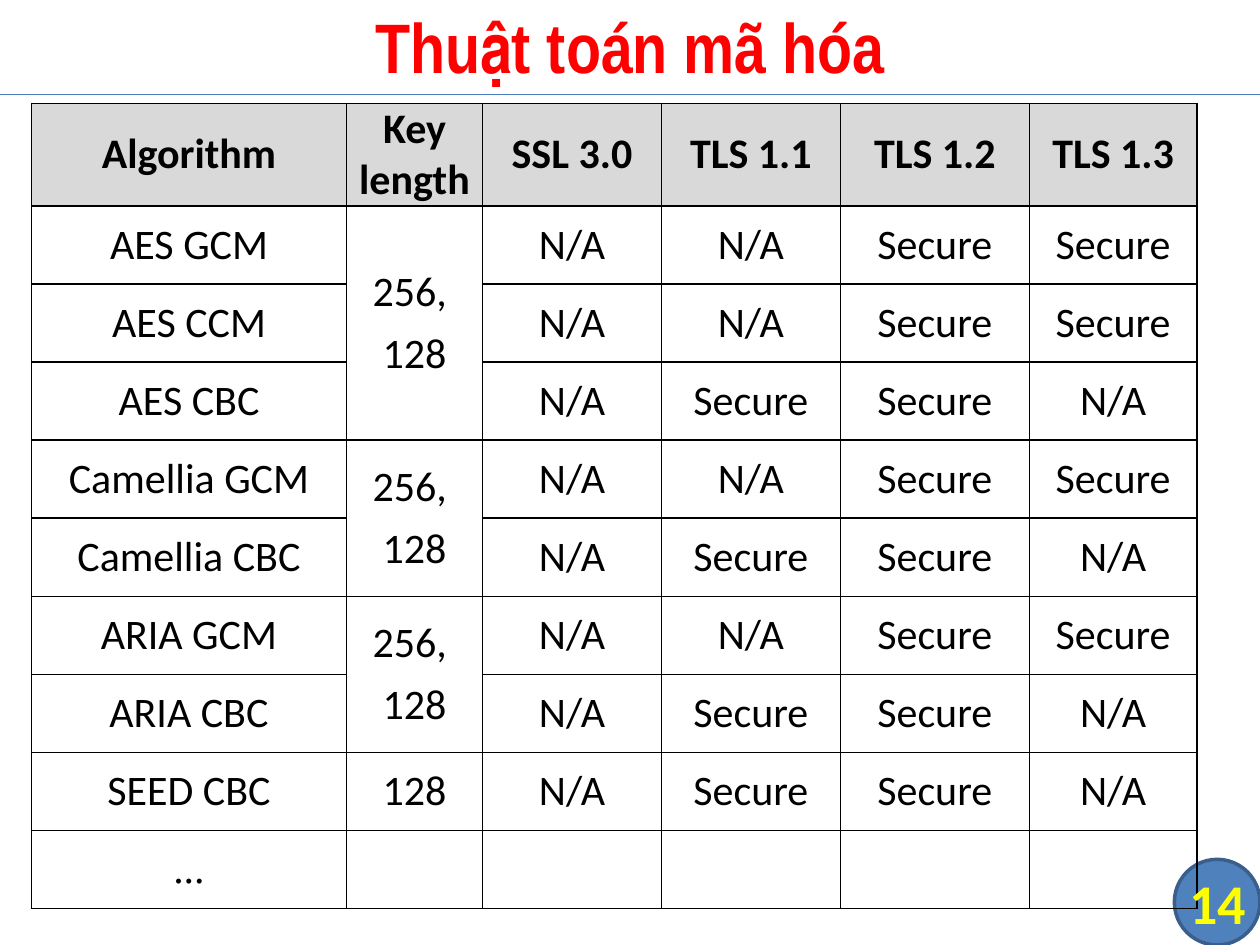
"""Build the slide on encryption algorithms and their security by protocol version."""
from lxml import etree
from pptx import Presentation
from pptx.dml.color import RGBColor
from pptx.enum.shapes import MSO_CONNECTOR, MSO_SHAPE
from pptx.enum.text import MSO_ANCHOR, PP_ALIGN
from pptx.oxml.ns import qn
from pptx.util import Inches, Pt

CENTER = PP_ALIGN.CENTER
MIDDLE = MSO_ANCHOR.MIDDLE
CIRCLE = MSO_SHAPE.FLOWCHART_CONNECTOR
STRAIGHT = MSO_CONNECTOR.STRAIGHT
TITLE_ONLY = 5
WIDTH, HEIGHT = 10, 7.5
GRID_COLUMNS, GRID_ROWS = 100, 75

COLUMN_WIDTHS = [25, 10.8, 14.2, 14.2, 15, 13.3]
ROW_HEIGHT = 6.2
NO, YES = "N/A", "Secure"
HEADER = ["Algorithm", "Key\nlength", "SSL 3.0", "TLS 1.1", "TLS 1.2", "TLS 1.3"]
GCM_SUPPORT = [NO, NO, YES, YES]
CBC_SUPPORT = [NO, YES, YES, NO]
BOTH_KEYS = ["256, ", "128"]
CIPHERS = [
    (BOTH_KEYS, [("AES GCM", GCM_SUPPORT), ("AES CCM", GCM_SUPPORT), ("AES CBC", CBC_SUPPORT)]),
    (BOTH_KEYS, [("Camellia GCM", GCM_SUPPORT), ("Camellia CBC", CBC_SUPPORT)]),
    (BOTH_KEYS, [("ARIA GCM", GCM_SUPPORT), ("ARIA CBC", CBC_SUPPORT)]),
    (["128"], [("SEED CBC", CBC_SUPPORT)]),
]


def color(value):
    """Turn a hex string into a colour."""
    return RGBColor.from_string(value)


def write(frame, *lines, size=24, font="Calibri", ink="000000", bold=False, spacing=0):
    """Write one centred paragraph per line into a text frame."""
    for index, line in enumerate(lines):
        paragraph = frame.add_paragraph() if index else frame.paragraphs[0]
        paragraph.text = line
        paragraph.alignment = CENTER
        paragraph.space_before = paragraph.space_after = Pt(spacing)
        for run in paragraph.runs:
            run.font.size = Pt(size)
            run.font.name = font
            run.font.bold = bold
            run.font.color.rgb = color(ink)


def set_borders(cell, ink, width):
    """Draw a solid line on all four sides of a cell."""
    properties = cell._tc.get_or_add_tcPr()
    for index, side in enumerate(("a:lnL", "a:lnR", "a:lnT", "a:lnB")):
        line = etree.Element(qn(side), w=str(Pt(width)))
        fill = etree.SubElement(line, qn("a:solidFill"))
        etree.SubElement(fill, qn("a:srgbClr"), val=ink)
        properties.insert(index, line)


class SlideBuilder:
    """Hold the style and the current slide."""

    accent, outline, rule = "4F81BD", "3A5F8C", "4B7EBC"
    header_fill, border = "D9D9D9", "000000"
    title_ink, number_ink = "FF0000", "FFFF00"

    def __init__(self, presentation):
        """Add a title-only slide."""
        self.slide = presentation.slides.add_slide(presentation.slide_layouts[TITLE_ONLY])
        self.shapes = self.slide.shapes

    def box(self, left, top, width, height):
        """Convert grid columns and rows to lengths."""
        column, row = WIDTH / GRID_COLUMNS, HEIGHT / GRID_ROWS
        return [Inches(n * unit) for n, unit in
                ((left, column), (top, row), (width, column), (height, row))]

    def title(self, text, *place):
        """Move and format the title placeholder."""
        shape = self.shapes.title
        shape.left, shape.top, shape.width, shape.height = self.box(*place)
        shape.text_frame.vertical_anchor = MIDDLE
        write(shape.text_frame, text, size=40, font="Arial Narrow", ink=self.title_ink, bold=True)

    def divider(self, row):
        """Draw a line across the slide."""
        left, top, width, _ = self.box(0, row, GRID_COLUMNS, 0)
        line = self.shapes.add_connector(STRAIGHT, left, top, left + width, top)
        line.line.color.rgb = color(self.rule)
        line.line.width = Pt(0.75)
        etree.SubElement(line._element.spPr, qn("a:effectLst"))

    def badge(self, *place):
        """Draw the circle behind the slide number."""
        shape = self.shapes.add_shape(CIRCLE, *self.box(*place))
        shape.shadow.inherit = False
        shape.fill.solid()
        shape.fill.fore_color.rgb = color(self.accent)
        shape.line.color.rgb = color(self.outline)
        shape.line.width = Pt(2)

    def number(self, text, *place):
        """Write the slide number."""
        frame = self.shapes.add_textbox(*self.box(*place)).text_frame
        frame.word_wrap = True
        frame.vertical_anchor = MIDDLE
        frame.margin_left = frame.margin_right = frame.margin_top = frame.margin_bottom = 0
        write(frame, text, size=32, ink=self.number_ink, bold=True)

    def table(self, left, top, row_count):
        """Add an empty bordered table with a shaded header row."""
        place = self.box(left, top, sum(COLUMN_WIDTHS), ROW_HEIGHT * row_count)
        table = self.shapes.add_table(row_count, len(COLUMN_WIDTHS), *place).table
        table.first_row = table.horz_banding = False
        for column, width in zip(table.columns, COLUMN_WIDTHS):
            column.width = self.box(0, 0, width, 0)[2]
        for index, row in enumerate(table.rows):
            row.height = self.box(0, 0, 0, ROW_HEIGHT)[3]
            for cell in row.cells:
                cell.vertical_anchor = MIDDLE
                cell.margin_left = cell.margin_right = Inches(0.07)
                cell.margin_top = cell.margin_bottom = 0
                if index:
                    cell.fill.background()
                else:
                    cell.fill.solid()
                    cell.fill.fore_color.rgb = color(self.header_fill)
                set_borders(cell, self.border, 1)
        return table

    def cipher_table(self, left, top):
        """Fill the table, merging the key length over each cipher family."""
        row_count = 2 + sum(len(family) for _, family in CIPHERS)
        table = self.table(left, top, row_count)
        for column, text in enumerate(HEADER):
            write(table.cell(0, column).text_frame, text, bold=True, spacing=3)
        row = 1
        for keys, family in CIPHERS:
            key_cell = table.cell(row, 1)
            if len(family) > 1:
                key_cell.merge(table.cell(row + len(family) - 1, 1))
            write(key_cell.text_frame, *keys, spacing=3)
            for name, support in family:
                write(table.cell(row, 0).text_frame, name, spacing=3)
                for column, text in enumerate(support, start=2):
                    write(table.cell(row, column).text_frame, text, spacing=3)
                row += 1
        write(table.cell(row, 0).text_frame, "...", font="Times New Roman", spacing=3)


def main():
    """Build and save the presentation."""
    presentation = Presentation()
    presentation.slide_width, presentation.slide_height = Inches(WIDTH), Inches(HEIGHT)
    builder = SlideBuilder(presentation)
    builder.badge(93.2, 68.2, 6.8, 6.8)
    builder.divider(7.5)
    builder.cipher_table(2.5, 8.2)
    builder.title("Thuật toán mã hóa", 0, -0.3, 100, 7.8)
    builder.number("14", 93.3, 68.2, 6.7, 6.8)
    presentation.save("out.pptx")


if __name__ == "__main__":
    main()
